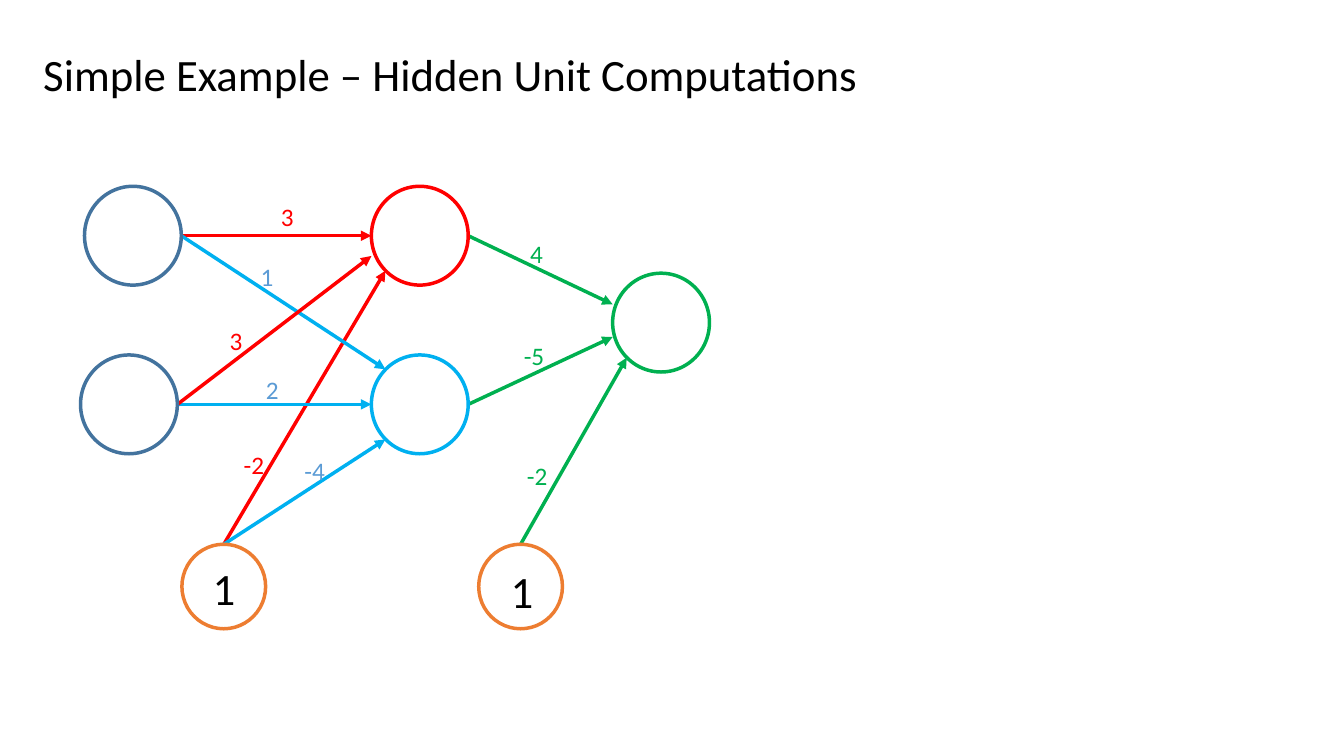
from lxml import etree
from pptx import Presentation
from pptx.dml.color import RGBColor
from pptx.enum.shapes import MSO_CONNECTOR, MSO_SHAPE
from pptx.enum.text import MSO_ANCHOR
from pptx.oxml.ns import qn
from pptx.util import Cm, Pt

ELLIPSE = MSO_SHAPE.OVAL
STRAIGHT = MSO_CONNECTOR.STRAIGHT
TOP, MIDDLE = MSO_ANCHOR.TOP, MSO_ANCHOR.MIDDLE

RED, BLUE, GREEN = "FF0000", "00B0F0", "00B050"
NAVY, ORANGE, LABEL_BLUE, BLACK = "43739E", "ED7D31", "5B9BD5", "000000"

UNIT = (2.44, 2.49)
BIAS = (2.11, 2.13)

NODES = {
    "input 1": (3.35, 5.94, UNIT, NAVY),
    "input 2": (3.25, 10.19, UNIT, NAVY),
    "hidden 1": (10.58, 5.94, UNIT, RED),
    "hidden 2": (10.58, 10.19, UNIT, BLUE),
    "output": (16.66, 8.13, UNIT, GREEN),
    "hidden bias": (5.64, 14.78, BIAS, ORANGE),
    "output bias": (13.12, 14.78, BIAS, ORANGE),
}

DIAGONAL = 0.71
LEFT, RIGHT, UP = (-1, 0), (1, 0), (0, -1)
UPPER_LEFT, LOWER_LEFT = (-DIAGONAL, -DIAGONAL), (-DIAGONAL, DIAGONAL)

EDGES = [
    ("hidden bias", UP, "hidden 1", LOWER_LEFT, RED),
    ("input 2", RIGHT, "hidden 2", LEFT, BLUE),
    ("input 1", RIGHT, "hidden 1", LEFT, RED),
    ("output bias", UP, "output", LOWER_LEFT, GREEN),
    ("input 1", RIGHT, "hidden 2", UPPER_LEFT, BLUE),
    ("input 2", RIGHT, "hidden 1", (-1, 0.41), RED),
    ("hidden 2", RIGHT, "output", (-1, 0.29), GREEN),
    ("hidden 1", RIGHT, "output", (-1, -0.37), GREEN),
    ("hidden bias", UP, "hidden 2", LOWER_LEFT, BLUE),
]

WEIGHTS = [
    ("4", 13.11, 5.87, GREEN),
    ("-5", 12.95, 8.46, GREEN),
    ("-2", 5.89, 11.2, RED),
    ("3", 5.54, 8.08, RED),
    ("3", 6.83, 4.95, RED),
    ("1", 6.32, 6.45, LABEL_BLUE),
    ("2", 6.45, 9.3, LABEL_BLUE),
    ("-2", 13.03, 11.48, GREEN),
    ("-4", 7.42, 11.35, LABEL_BLUE),
]


def rgb(value):
    return RGBColor.from_string(value)


def write(tf, text, size=18, color=BLACK, font="Calibri", anchor=TOP, spacing=None):
    tf.word_wrap = True
    tf.vertical_anchor = anchor
    p = tf.paragraphs[0]
    p.line_spacing = spacing
    r = p.add_run()
    r.text = text
    r.font.name = font
    r.font.size = Pt(size)
    r.font.color.rgb = rgb(color)


def node_point(name, side):
    x, y, (width, height), _ = NODES[name]
    return Cm(x + side[0] * width / 2), Cm(y + side[1] * height / 2)


class Diagram:
    line_width = Pt(2.5)

    def __init__(self, slide):
        self.slide = slide

    def node(self, x, y, size, color):
        width, height = size
        sp = self.slide.shapes.add_shape(
            ELLIPSE, Cm(x - width / 2), Cm(y - height / 2), Cm(width), Cm(height))
        sp.shadow.inherit = False
        sp.fill.background()
        sp.line.color.rgb = rgb(color)
        sp.line.width = self.line_width

    def arrow(self, start, end, color):
        cxn = self.slide.shapes.add_connector(STRAIGHT, *start, *end)
        cxn.line.color.rgb = rgb(color)
        cxn.line.width = self.line_width
        sp_pr = cxn.line._get_or_add_ln().getparent()
        etree.SubElement(cxn.line._get_or_add_ln(), qn("a:tailEnd"), type="triangle")
        etree.SubElement(sp_pr, qn("a:effectLst"))

    def text(self, text, x, y, width, height, **style):
        sp = self.slide.shapes.add_textbox(Cm(x), Cm(y), Cm(width), Cm(height))
        write(sp.text_frame, text, **style)


def main():
    prs = Presentation()
    prs.slide_width, prs.slide_height = Cm(33.87), Cm(19.05)
    diagram = Diagram(prs.slides.add_slide(prs.slide_layouts[6]))

    diagram.text("Simple Example – Hidden Unit Computations", 0.84, 0.1, 29.21, 3.68,
                 size=32, anchor=MIDDLE, spacing=0.9)
    for source, exit_side, target, entry_side, color in EDGES:
        diagram.arrow(node_point(source, exit_side), node_point(target, entry_side), color)
    for node in NODES.values():
        diagram.node(*node)
    for x, y in [(5.11, 14), (12.62, 14.07)]:
        diagram.text("1", x, y, 1.02, 1.63, size=32)
    for weight, x, y, color in WEIGHTS:
        diagram.text(weight, x, y, 1.02 if len(weight) == 1 else 1.45, 1.02, color=color)

    prs.save("out.pptx")


if __name__ == "__main__":
    main()
